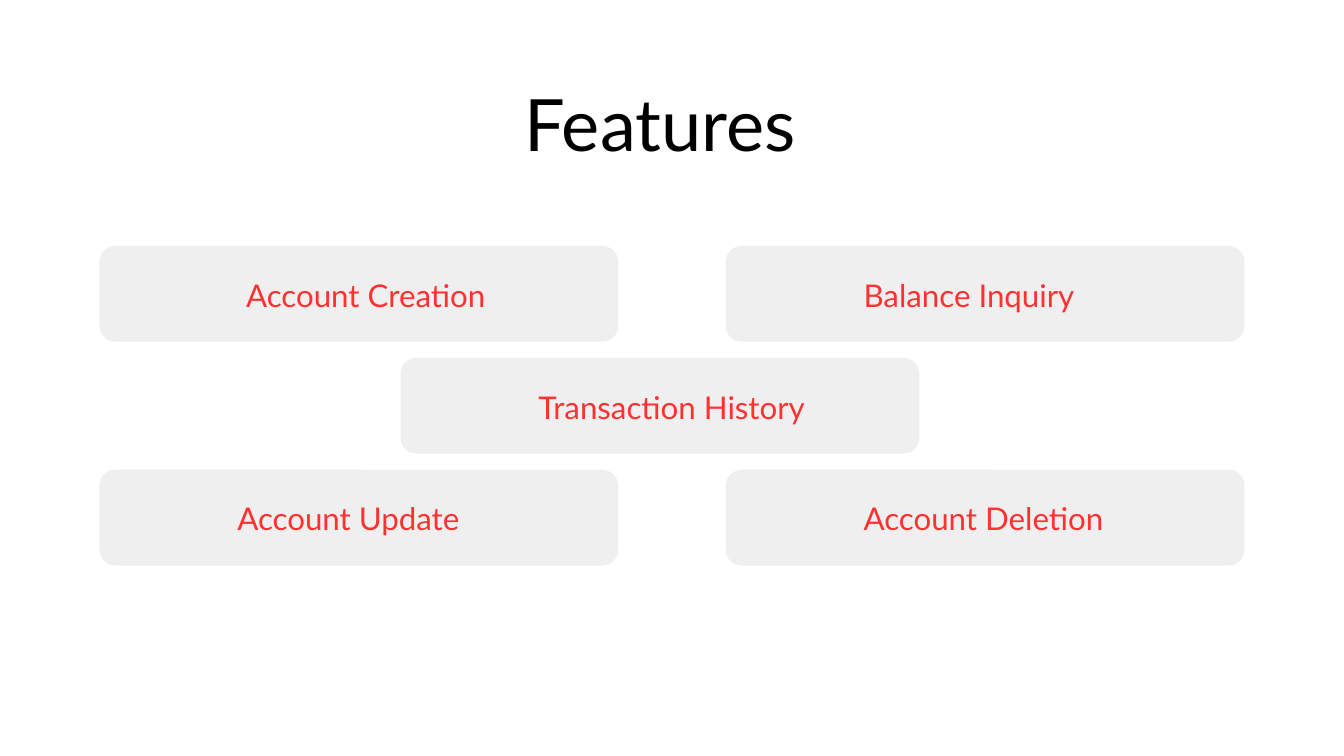
"""Build the Features slide: a title above five rounded feature cards."""
from dataclasses import dataclass

from pptx import Presentation
from pptx import util as u
from pptx.dml.color import RGBColor
from pptx.enum import shapes, text

CARD_GREY = RGBColor(0xEF, 0xEF, 0xEF)
LABEL_RED = RGBColor(0xFF, 0x31, 0x31)
TITLE_BLACK = RGBColor(0x00, 0x00, 0x00)

CARD_WIDTH, CARD_HEIGHT, CARD_RADIUS = 19.61, 3.62, 0.6
LEFT, MIDDLE, RIGHT = 3.76, 15.14, 27.43
FIRST_ROW, ROW_STEP = 9.3, 4.23
LABEL_DROP, LABEL_HEIGHT = 0.9, 1.6

TITLE_FORMAT = {"name": "Lato", "size": u.Pt(77.3)}
LABEL_FORMAT = {"name": "Lato", "size": u.Pt(33.5)}


@dataclass(frozen=True)
class Feature:
    label: str
    left: float
    row: int
    label_left: float
    label_width: float

    @property
    def top(self) -> float:
        return FIRST_ROW + self.row * ROW_STEP


FEATURES = [
    Feature("Account Creation", LEFT, 0, 9.3, 9.19),
    Feature("Balance Inquiry", RIGHT, 0, 32.64, 8.05),
    Feature("Account Update", LEFT, 2, 8.97, 8.46),
    Feature("Account Deletion", RIGHT, 2, 32.64, 9.07),
    Feature("Transaction History", MIDDLE, 1, 20.35, 10.36),
]


def add_text(page, words: str, bounds: tuple, font_format: dict, color: RGBColor,
             spacing: float, align: text.PP_ALIGN) -> None:
    box = page.shapes.add_textbox(*map(u.Cm, bounds))
    frame = box.text_frame
    frame_format = {"margin_left": 0, "margin_top": 0, "margin_right": 0,
                    "margin_bottom": 0, "word_wrap": True,
                    "auto_size": text.MSO_AUTO_SIZE.SHAPE_TO_FIT_TEXT}
    for name, value in frame_format.items():
        setattr(frame, name, value)
    para = frame.paragraphs[0]
    para.alignment = align
    para.line_spacing = u.Pt(spacing)
    span = para.add_run()
    span.text = words
    for name, value in font_format.items():
        setattr(span.font, name, value)
    span.font.color.rgb = color


def add_feature(page, feature: Feature) -> None:
    bounds = (feature.left, feature.top, CARD_WIDTH, CARD_HEIGHT)
    card = page.shapes.add_shape(shapes.MSO_SHAPE.ROUNDED_RECTANGLE, *map(u.Cm, bounds))
    card.adjustments[0] = CARD_RADIUS / CARD_HEIGHT
    card.shadow.inherit = False
    card.fill.solid()
    card.fill.fore_color.rgb = CARD_GREY
    card.line.fill.background()
    label_bounds = (feature.label_left, feature.top + LABEL_DROP,
                    feature.label_width, LABEL_HEIGHT)
    add_text(page, feature.label, label_bounds, LABEL_FORMAT, LABEL_RED,
             46.8, text.PP_ALIGN.LEFT)


def main() -> None:
    deck = Presentation()
    deck.slide_width, deck.slide_height = u.Cm(50.8), u.Cm(28.58)
    page = deck.slides.add_slide(deck.slide_layouts[6])
    add_text(page, "Features", (19.56, 2.44, 10.77, 3.68), TITLE_FORMAT, TITLE_BLACK,
             108.2, text.PP_ALIGN.CENTER)
    for feature in FEATURES:
        add_feature(page, feature)
    deck.save("out.pptx")


if __name__ == "__main__":
    main()
